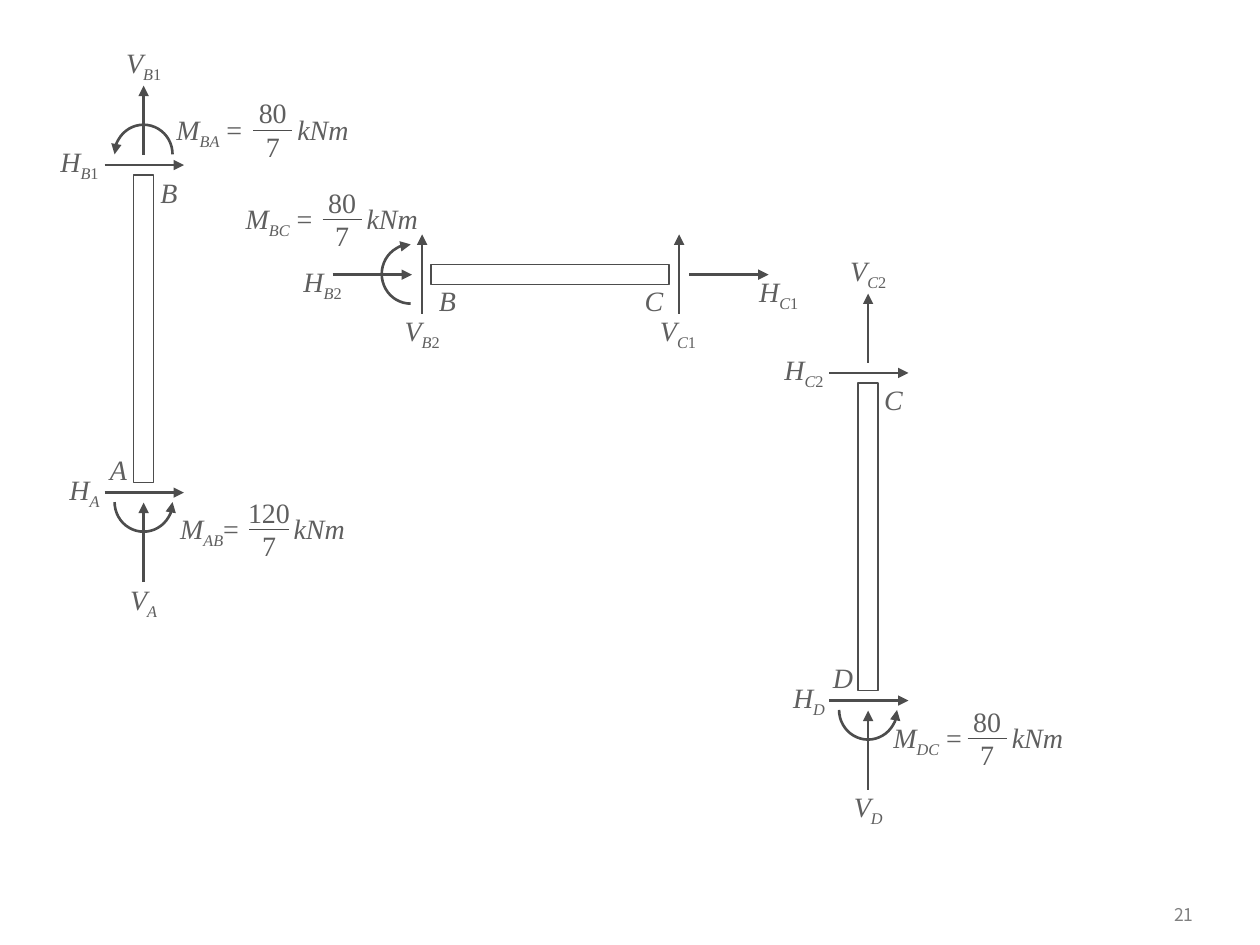
from itertools import groupby

from lxml.etree import SubElement
from pptx import Presentation
from pptx.dml.color import RGBColor
from pptx.enum.shapes import MSO_CONNECTOR, MSO_SHAPE
from pptx.enum.text import MSO_ANCHOR, PP_ALIGN
from pptx.oxml.ns import qn
from pptx.util import Inches, Pt

INK = RGBColor(0x4D, 0x4D, 0x4D)
LABEL = RGBColor(0x5F, 0x5F, 0x5F)
NUMBER = RGBColor(0x80, 0x80, 0x80)

deck = Presentation()
deck.slide_width, deck.slide_height = Inches(10), Inches(7.5)
page = deck.slides.add_slide(deck.slide_layouts[6])


def add_text(text, left, top, width=0.32, height=0.27, subscript="", ending=(),
             italic=True, size=16, font="Times New Roman", color=LABEL,
             align=PP_ALIGN.CENTER, anchor=MSO_ANCHOR.TOP, inset=0, wrap=False):
    """Add a text box; subscript digits stay upright, ending holds (text, italic) spans."""
    box = page.shapes.add_textbox(Inches(left), Inches(top), Inches(width), Inches(height))
    frame = box.text_frame
    frame.word_wrap = wrap
    frame.vertical_anchor = anchor
    frame.margin_left = frame.margin_right = Inches(inset)
    frame.margin_top = frame.margin_bottom = Inches(inset / 2)
    for index, line in enumerate(text.split("\n")):
        para = frame.paragraphs[0] if index == 0 else frame.add_paragraph()
        para.alignment = align
        spans = [(line, italic, False)]
        spans += [("".join(part), letters, True) for letters, part in groupby(subscript, str.isalpha)]
        spans += [(words, slanted, False) for words, slanted in ending]
        for words, slanted, lowered in spans:
            span = para.add_run()
            span.text = words
            span.font.name, span.font.size = font, Pt(size)
            span.font.italic = slanted
            span.font.color.rgb = color
            if lowered:
                span.font._element.set("baseline", "-25000")
    return box


def style_line(shape, width, arrow_at=None):
    """Set the outline; arrow_at is headEnd (start) or tailEnd (finish)."""
    shape.line.color.rgb = INK
    shape.line.width = Pt(width)
    if arrow_at:
        SubElement(shape.line._get_or_add_ln(), qn(f"a:{arrow_at}"), type="triangle")


# Members, arrows (start x, y, finish x, y), moment arcs (centre x, y, degrees) and labels
members = [(3.42, 2.1, 1.89, 0.16)]
arrows = [
    (3.35, 2.49, 3.35, 1.86),
    (5.39, 2.49, 5.39, 1.86),
    (2.64, 2.18, 3.27, 2.18),
    (5.47, 2.18, 6.1, 2.18),
]
arcs = [(3.26, 2.17, 90, 270, "tailEnd"), (1.14, 1.22, 180, 0, "headEnd")]
labels = [
    ("B", "", 3.39, 2.25),
    ("C", "", 5.03, 2.25),
    ("V", "B2", 3.19, 2.49),
    ("V", "C1", 5.22, 2.49),
    ("H", "B2", 2.4, 2.1),
    ("H", "C1", 6.02, 2.18),
]

# Both columns share one layout: centre x, top y, upper joint, its force number, lower joint
for center, top, upper, force, lower in [(1.14, 1.39, "B", "1", "A"), (6.89, 3.04, "C", "2", "D")]:
    bottom = top + 2.44
    members.append((center - 0.08, top, 0.16, 2.44))
    arrows += [
        (center, top - 0.16, center, top - 0.71),
        (center - 0.31, top - 0.08, center + 0.32, top - 0.08),
        (center - 0.31, bottom + 0.08, center + 0.32, bottom + 0.08),
        (center, bottom + 0.79, center, bottom + 0.16),
    ]
    arcs.append((center, bottom + 0.15, 0, 180, "headEnd"))
    labels += [
        (upper, "", center + 0.04, top),
        (lower, "", center - 0.36, bottom - 0.24),
        ("V", upper + force, center - 0.16, top - 1.03),
        ("H", upper + force, center - 0.67, top - 0.24),
        ("V", lower, center - 0.16, bottom + 0.79),
        ("H", lower, center - 0.63, bottom - 0.08),
    ]

for left, top, width, height in members:
    member = page.shapes.add_shape(
        MSO_SHAPE.RECTANGLE, Inches(left), Inches(top), Inches(width), Inches(height))
    member.shadow.inherit = False
    member.fill.background()
    style_line(member, 0.75)

for x, y, start, finish, arrow_at in arcs:
    arc = page.shapes.add_shape(
        MSO_SHAPE.ARC, Inches(x - 0.23), Inches(y - 0.23), Inches(0.46), Inches(0.47))
    arc.shadow.inherit = False
    arc.fill.background()
    # Angles are stored in 60000ths of a degree, adjustments in 100000ths
    arc.adjustments[0], arc.adjustments[1] = start * 0.6, finish * 0.6
    style_line(arc, 1.5, arrow_at)

for symbol, subscript, left, top in labels:
    add_text(symbol, left, top, subscript=subscript)

# Moments: subscript, equals sign, numerator, left of symbol, left of fraction, top
bars = []
for ends, equals, numerator, left, fraction, top in [
    ("BA", " =", "80", 1.4, 2.01, 0.89),
    ("BC", " =", "80", 1.95, 2.56, 1.6),
    ("AB", "=", "120", 1.43, 1.98, 4.06),
    ("DC", " =", "80", 7.09, 7.68, 5.72),
]:
    moment = add_text("M", left, top, width=1.45, subscript=ends, wrap=True,
                      ending=[(equals + "\t", False), ("kNm", True)], align=PP_ALIGN.LEFT)
    tabs = SubElement(moment.text_frame.paragraphs[0]._p.get_or_add_pPr(), qn("a:tabLst"))
    SubElement(tabs, qn("a:tab"), pos=str(Inches(fraction + 0.35 - left)), algn="l")
    add_text(numerator + "\n7", fraction - 0.05, top - 0.13, width=0.41, height=0.55, italic=False)
    bars.append((fraction, top + 0.14, fraction + 0.31, top + 0.14))

for lines, width, arrow_at in [(arrows, 1.5, "tailEnd"), (bars, 0.25, None)]:
    for ends in lines:
        line = page.shapes.add_connector(MSO_CONNECTOR.STRAIGHT, *map(Inches, ends))
        style_line(line, width, arrow_at)
        SubElement(line._element.spPr, qn("a:effectLst"))

add_text("21", 8.86, 7.09, width=0.71, height=0.33, italic=False, size=10,
         font="Noto Sans CJK KR", color=NUMBER, align=PP_ALIGN.RIGHT,
         anchor=MSO_ANCHOR.MIDDLE, inset=0.1, wrap=True)

deck.save("out.pptx")
